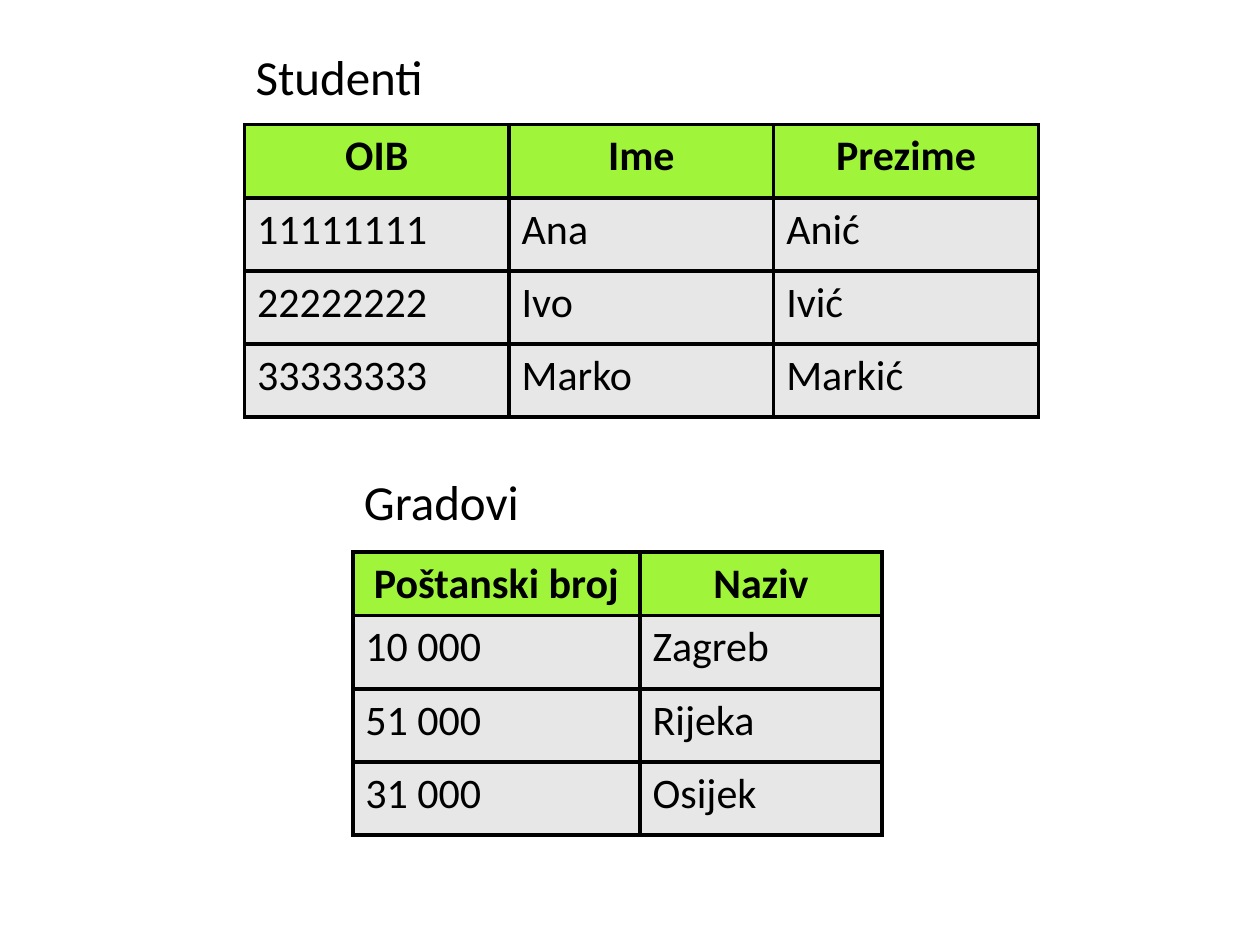
"""Build a slide with two captioned relational tables."""
from lxml.etree import SubElement
from pptx import Presentation
from pptx.dml.color import RGBColor
from pptx.enum.text import MSO_AUTO_SIZE, PP_ALIGN
from pptx.oxml.ns import qn
from pptx.util import Inches, Pt

BLACK = RGBColor(0x00, 0x00, 0x00)
GREEN = RGBColor(0xA0, 0xF4, 0x3A)
GRAY = RGBColor(0xE7, 0xE7, 0xE7)
FONT = "Calibri"
ROW_HEIGHT = 0.58
BORDER = Pt(2.25)

RELATIONS = [
    {
        "caption": "Studenti",
        "caption_box": (1.93, 0.32, 1.55, 0.57),
        "origin": (1.94, 0.99),
        "columns": [2.1, 2.1, 2.1],
        "header_height": ROW_HEIGHT,
        "rows": [
            ("OIB", "Ime", "Prezime"),
            ("11111111", "Ana", "Anić"),
            ("22222222", "Ivo", "Ivić"),
            ("33333333", "Marko", "Markić"),
        ],
    },
    {
        "caption": "Gradovi",
        "caption_box": (2.79, 3.69, 1.44, 0.57),
        "origin": (2.8, 4.38),
        "columns": [2.28, 1.92],
        "header_height": 0.5,
        "rows": [
            ("Poštanski broj", "Naziv"),
            ("10 000", "Zagreb"),
            ("51 000", "Rijeka"),
            ("31 000", "Osijek"),
        ],
    },
]


def write(paragraph, text, size, bold=False):
    run = paragraph.add_run()
    run.text = text
    run.font.name = FONT
    run.font.size = Pt(size)
    run.font.bold = bold
    run.font.color.rgb = BLACK


def add_borders(cell):
    properties = cell._tc.get_or_add_tcPr()
    for side in ("a:lnL", "a:lnR", "a:lnT", "a:lnB"):
        line = SubElement(properties, qn(side), w=str(BORDER))
        fill = SubElement(line, qn("a:solidFill"))
        SubElement(fill, qn("a:srgbClr"), val=str(BLACK))


def add_caption(slide, relation):
    caption = slide.shapes.add_textbox(*map(Inches, relation["caption_box"]))
    frame = caption.text_frame
    frame.word_wrap = False
    frame.auto_size = MSO_AUTO_SIZE.SHAPE_TO_FIT_TEXT
    write(frame.paragraphs[0], relation["caption"], 28)


def add_relation(slide, relation):
    rows, columns = relation["rows"], relation["columns"]
    heights = [relation["header_height"]] + [ROW_HEIGHT] * (len(rows) - 1)
    bounds = (*relation["origin"], sum(columns), sum(heights))
    grid = slide.shapes.add_table(len(rows), len(columns), *map(Inches, bounds)).table
    for column, width in zip(grid.columns, columns):
        column.width = Inches(width)
    for row, height in zip(grid.rows, heights):
        row.height = Inches(height)
    for r, values in enumerate(rows):
        is_header = r == 0
        for c, value in enumerate(values):
            cell = grid.cell(r, c)
            add_borders(cell)
            cell.fill.solid()
            cell.fill.fore_color.rgb = GREEN if is_header else GRAY
            paragraph = cell.text_frame.paragraphs[0]
            paragraph.alignment = PP_ALIGN.CENTER if is_header else PP_ALIGN.LEFT
            write(paragraph, value, 24, is_header)


def main():
    deck = Presentation()
    deck.slide_width, deck.slide_height = Inches(10), Inches(7.5)
    slide = deck.slides.add_slide(deck.slide_layouts[6])
    for add_part in (add_relation, add_caption):
        for relation in RELATIONS:
            add_part(slide, relation)
    deck.save("out.pptx")


if __name__ == "__main__":
    main()
